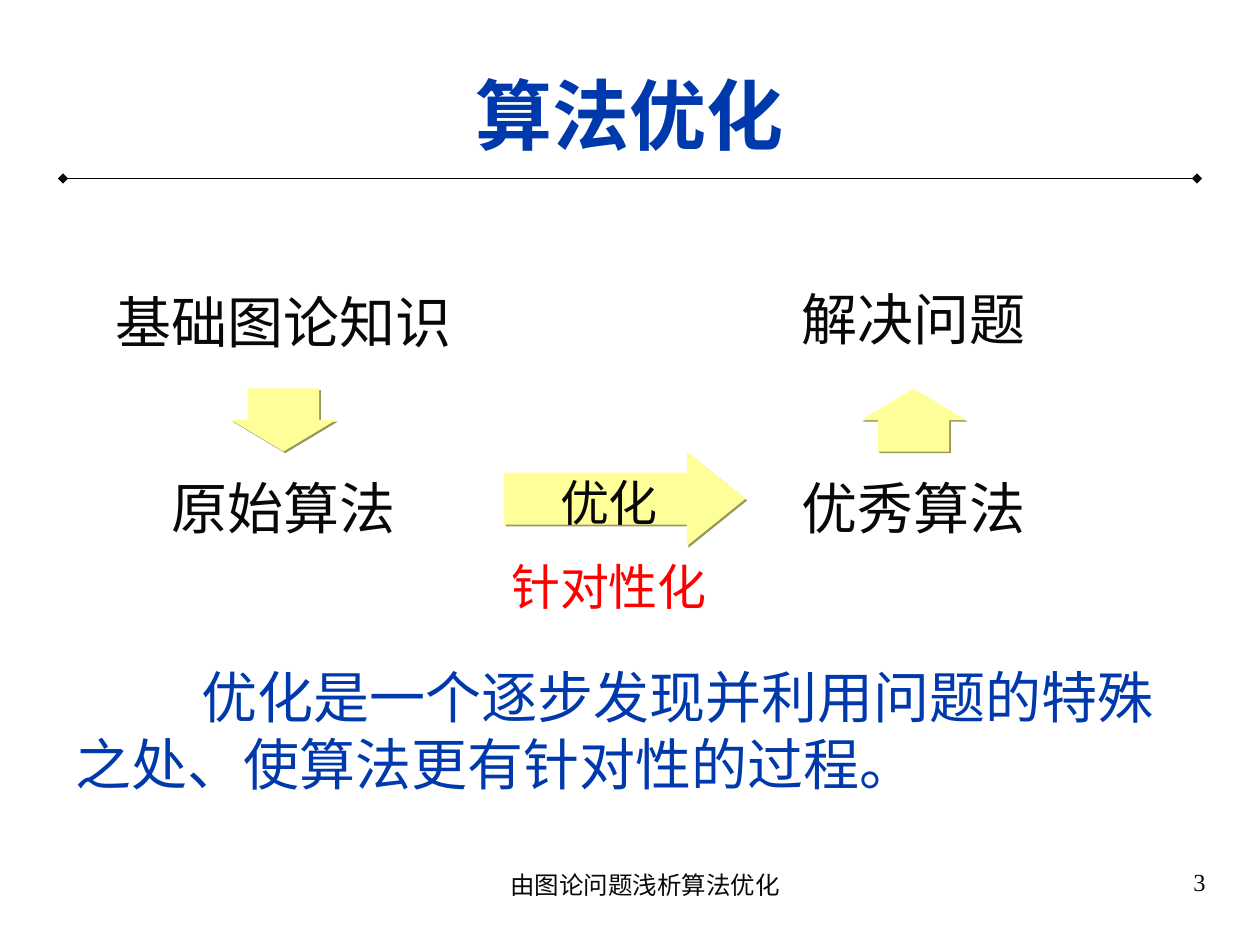
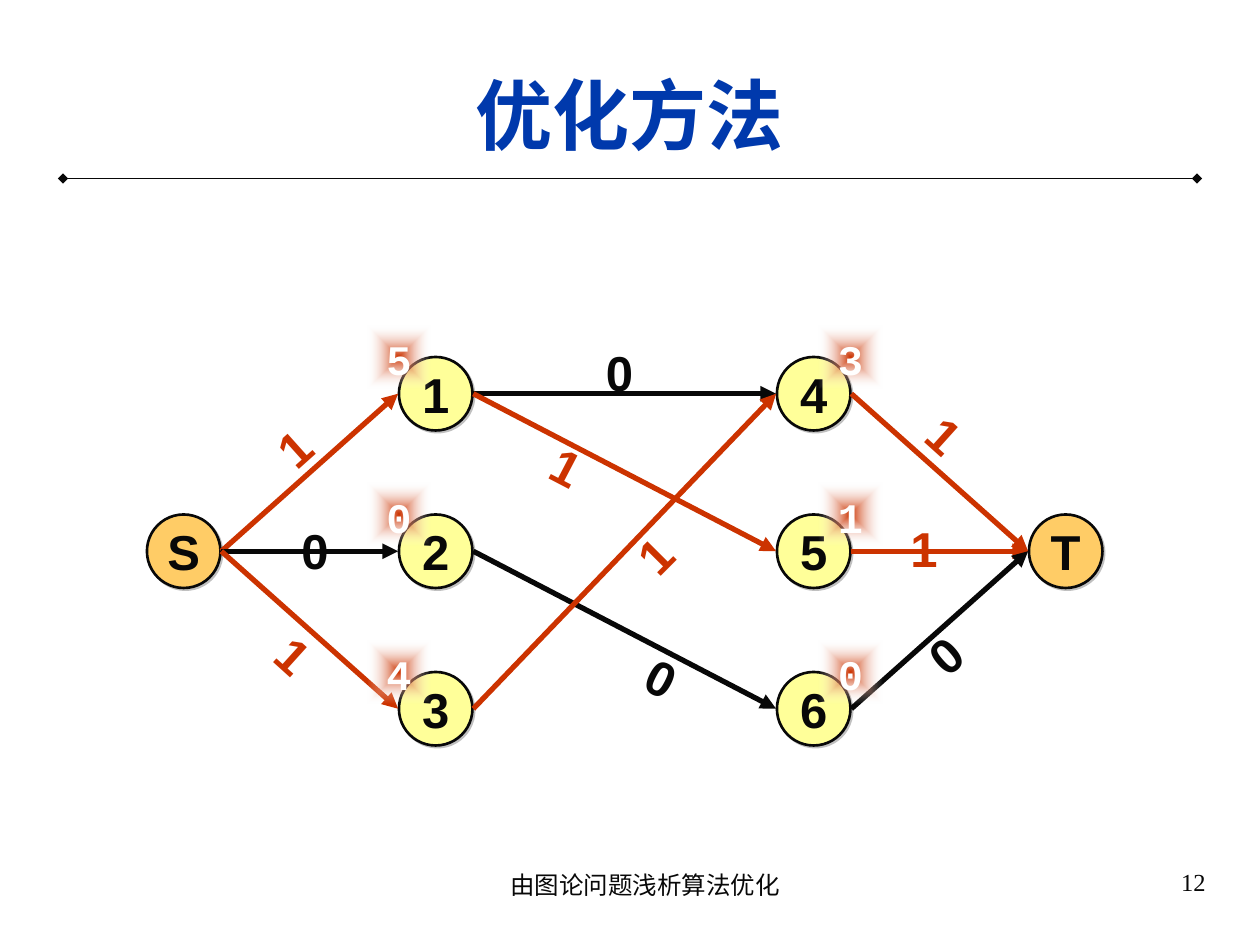
from dataclasses import dataclass

from lxml import etree
from pptx import Presentation
from pptx import util as u
from pptx.dml import color
from pptx.enum import shapes, text
from pptx.oxml import parse_xml
from pptx.oxml.ns import nsdecls, qn

Pt = u.Pt
COLORS = {
    "ink": "080808", "blue": "0039AC", "red": "FF0000", "rust": "CC3300",
    "yellow": "FFFF99", "orange": "FFCC66", "white": "FFFFFF", "haze": "FEFEFE",
    "olive shadow": "98985B", "grey shadow": "C0C0C0",
}
FOOTER = "由图论问题浅析算法优化"
LINE_HEIGHT = 1.2
CHINESE_DROP = 0.09  # extra top inset, as a share of the text size

CENTER, LEFT, RIGHT = text.PP_ALIGN.CENTER, text.PP_ALIGN.LEFT, text.PP_ALIGN.RIGHT
TOP, MIDDLE = text.MSO_ANCHOR.TOP, text.MSO_ANCHOR.MIDDLE


@dataclass(frozen=True)
class Style:
    size: float
    face: str = "Arial"
    east: str = "Noto Sans CJK SC"
    color: str = "ink"
    bold: bool = False
    align: int = CENTER
    anchor: int = TOP
    wrap: bool = True
    drop: float = 0
    margin: float = 0
    first_indent: float = 0


@dataclass(frozen=True)
class Area:
    left: float
    top: float
    width: float
    height: float

    def lengths(self) -> list:
        return [Pt(v) for v in (self.left, self.top, self.width, self.height)]


@dataclass(frozen=True)
class Node:
    name: str
    x: float
    y: float
    fill: str = "yellow"
    distance: str = ""
    badge_shift: float = 0


@dataclass(frozen=True)
class Edge:
    start: str
    end: str
    weight: str
    label_left: float
    label_top: float
    rotation: float = 0

    @property
    def color(self) -> str:
        return "rust" if self.weight == "1" else "ink"


JP = "Noto Sans CJK JP"
TITLE = Style(44, color="blue", bold=True, anchor=MIDDLE, drop=CHINESE_DROP)
STAGE = Style(32, JP, JP, drop=CHINESE_DROP)
BODY = Style(32, "Noto Sans CJK SC", color="blue", align=LEFT, drop=CHINESE_DROP,
             first_indent=72)
METHOD = Style(28, drop=CHINESE_DROP)
METHOD_DETAIL = Style(28, color="red", drop=CHINESE_DROP)
FOOTER_STYLE = Style(14, "Times New Roman", margin=17.28, drop=CHINESE_DROP)
PAGE_NUMBER = Style(14, "Times New Roman", align=RIGHT, margin=17.28)
NODE_NAME = Style(28, bold=True, anchor=MIDDLE, wrap=False)
DISTANCE = Style(24, "Courier New", color="white", bold=True, anchor=MIDDLE,
                 wrap=False, drop=CHINESE_DROP)

NODE_SIZE, BADGE_SIZE, EDGE_GAP = 42, 36, 0.5
ROWS = (225, 315, 405)
BADGE_LEFT, BADGE_RIGHT, BADGE_UP = -39, 3, -39
NODES = [
    *(Node(n, 249, y, distance=d, badge_shift=BADGE_LEFT)
      for n, d, y in zip("123", "504", ROWS)),
    *(Node(n, 465, y, distance=d, badge_shift=BADGE_RIGHT)
      for n, d, y in zip("456", "310", ROWS)),
    Node("S", 105, ROWS[1], "orange"),
    Node("T", 609, ROWS[1], "orange"),
]
EDGES = [
    Edge("1", "4", "0", 318, 192),
    Edge("1", "5", "1", 288, 246, 27.5),
    Edge("2", "6", "0", 342, 367, 27.2),
    Edge("3", "4", "1", 338, 297, 314.9),
    Edge("S", "1", "1", 132, 235.5, 318.2),
    Edge("S", "2", "0", 144, 294),
    Edge("S", "3", "1", 132, 354, 42.1),
    Edge("4", "T", "1", 504, 228, 42),
    Edge("5", "T", "1", 492, 293),
    Edge("6", "T", "0", 504, 354, 319.2),
]


def rgb(name: str) -> color.RGBColor:
    return color.RGBColor.from_string(COLORS[name])


def set_all(target, values: dict) -> None:
    for name, value in values.items():
        setattr(target, name, value)


def write(shape, words: str, style: Style) -> None:
    frame = shape.text_frame
    set_all(frame, {
        "word_wrap": style.wrap, "vertical_anchor": style.anchor,
        "margin_left": Pt(7.2), "margin_right": Pt(7.2),
        "margin_top": Pt(3.6 + style.drop * style.size), "margin_bottom": Pt(3.6),
    })
    para = frame.paragraphs[0]
    set_all(para, {"alignment": style.align,
                   "line_spacing": Pt(LINE_HEIGHT * style.size)})
    properties = para._p.get_or_add_pPr()
    properties.set("marL", str(Pt(style.margin)))
    properties.set("indent", str(Pt(style.first_indent)))
    span = para.add_run()
    span.text = words
    set_all(span.font, {"size": Pt(style.size), "name": style.face, "bold": style.bold})
    span.font.color.rgb = rgb(style.color)
    east = etree.SubElement(span._r.get_or_add_rPr(), qn("a:ea"))
    east.set("typeface", style.east)


def add_text(page, area: Area, words: str, style: Style, rotation: float = 0) -> None:
    box = page.shapes.add_textbox(*area.lengths())
    box.rotation = rotation
    write(box, words, style)


def add_plain_shape(page, kind, area: Area):
    """Add a shape with neither outline nor shadow."""
    shape = page.shapes.add_shape(kind, *area.lengths())
    shape.shadow.inherit = False
    shape.line.fill.background()
    return shape


def add_shadow(shape, name: str) -> None:
    effects = shape._element.spPr.find(qn("a:effectLst"))
    effects.append(parse_xml(
        f'<a:outerShdw {nsdecls("a")} dist="{Pt(1.4)}" dir="2700000" algn="ctr" '
        f'rotWithShape="0"><a:srgbClr val="{COLORS[name]}"/></a:outerShdw>'))


def add_line(page, start: tuple, end: tuple, name: str, width: float, **ends: str) -> None:
    """Draw a line; ends maps headEnd and tailEnd to arrowhead types."""
    line = page.shapes.add_connector(
        shapes.MSO_CONNECTOR.STRAIGHT, *(Pt(v) for v in (*start, *end)))
    line.line.color.rgb = rgb(name)
    line.line.width = Pt(width)
    outline = line.line._get_or_add_ln()
    for tag, kind in ends.items():
        etree.SubElement(outline, qn(f"a:{tag}")).set("type", kind)
    etree.SubElement(line._element.spPr, qn("a:effectLst"))


def add_page(deck, title: str, number: int):
    page = deck.slides.add_slide(deck.slide_layouts[6])
    add_line(page, (36, 102), (684, 102), "ink", 1, headEnd="diamond", tailEnd="diamond")
    add_text(page, Area(24, 18, 672, 90), title, TITLE)
    add_text(page, Area(246, 492, 228, 37.5), FOOTER, FOOTER_STYLE)
    add_text(page, Area(516, 492, 180, 37.5), str(number), PAGE_NUMBER)
    return page


def add_block_arrow(page, kind, area: Area, adjustments: tuple, rotation: float = 0) -> None:
    arrow = add_plain_shape(page, kind, area)
    arrow.fill.solid()
    arrow.fill.fore_color.rgb = rgb("yellow")
    arrow.rotation = rotation
    for index, value in enumerate(adjustments):
        arrow.adjustments[index] = value
    add_shadow(arrow, "olive shadow")


def add_node(page, node: Node) -> None:
    radius = NODE_SIZE / 2
    area = Area(node.x - radius, node.y - radius, NODE_SIZE, NODE_SIZE)
    circle = add_plain_shape(page, shapes.MSO_SHAPE.FLOWCHART_CONNECTOR, area)
    circle.fill.solid()
    circle.fill.fore_color.rgb = rgb(node.fill)
    circle.line.color.rgb = rgb("ink")
    circle.line.width = Pt(1.5)
    add_shadow(circle, "grey shadow")
    write(circle, node.name, NODE_NAME)


def add_badge(page, node: Node) -> None:
    """Show the node's distance on a glow that fades outwards."""
    area = Area(node.x + node.badge_shift, node.y + BADGE_UP, BADGE_SIZE, BADGE_SIZE)
    badge = add_plain_shape(page, shapes.MSO_SHAPE.RECTANGLE, area)
    badge._element.spPr.find(qn("a:prstGeom")).addnext(parse_xml(
        f'<a:gradFill {nsdecls("a")} rotWithShape="1"><a:gsLst>'
        f'<a:gs pos="0"><a:srgbClr val="{COLORS["rust"]}"/></a:gs>'
        f'<a:gs pos="100000"><a:srgbClr val="{COLORS["haze"]}"><a:alpha val="0"/>'
        '</a:srgbClr></a:gs></a:gsLst><a:path path="rect">'
        '<a:fillToRect l="50000" t="50000" r="50000" b="50000"/></a:path></a:gradFill>'))
    write(badge, node.distance, DISTANCE)


def build_optimization(deck) -> None:
    page = add_page(deck, "算法优化", 3)
    kinds = shapes.MSO_SHAPE
    add_block_arrow(page, kinds.RIGHT_ARROW, Area(288, 258, 138, 54), (0.55, 0.62))
    for left, rotation in ((132, 0), (492, 180)):
        add_block_arrow(page, kinds.DOWN_ARROW, Area(left, 222, 60, 36),
                        (0.68, 0.5), rotation)
    for words, area, style in (
        ("基础图论知识", Area(42, 158, 240, 45), STAGE),
        ("解决问题", Area(432, 156, 180, 46), STAGE),
        ("原始算法", Area(42, 264, 240, 45), STAGE),
        ("优秀算法", Area(432, 264, 180, 46), STAGE),
        ("优化", Area(300, 264, 96, 41), METHOD),
        ("针对性化", Area(276, 312, 144, 41), METHOD_DETAIL),
        ("优化是一个逐步发现并利用问题的特殊之处、使算法更有针对性的过程。",
         Area(36, 372, 648, 84), BODY),
    ):
        add_text(page, area, words, style)


def build_method(deck) -> None:
    page = add_page(deck, "优化方法", 12)
    nodes = {node.name: node for node in NODES}
    for node in NODES:
        add_node(page, node)
    reach = NODE_SIZE / 2 + EDGE_GAP
    for edge in EDGES:
        start, end = nodes[edge.start], nodes[edge.end]
        add_line(page, (start.x + reach, start.y), (end.x - reach, end.y),
                 edge.color, 3, tailEnd="triangle")
    for edge in EDGES:
        add_text(page, Area(edge.label_left, edge.label_top, 72, 41), edge.weight,
                 Style(28, color=edge.color, bold=True), edge.rotation)
    for node in NODES:
        if node.distance:
            add_badge(page, node)


def main() -> None:
    deck = Presentation()
    set_all(deck, {"slide_width": Pt(720), "slide_height": Pt(540)})
    build_optimization(deck)
    build_method(deck)
    deck.save("out.pptx")


if __name__ == "__main__":
    main()
